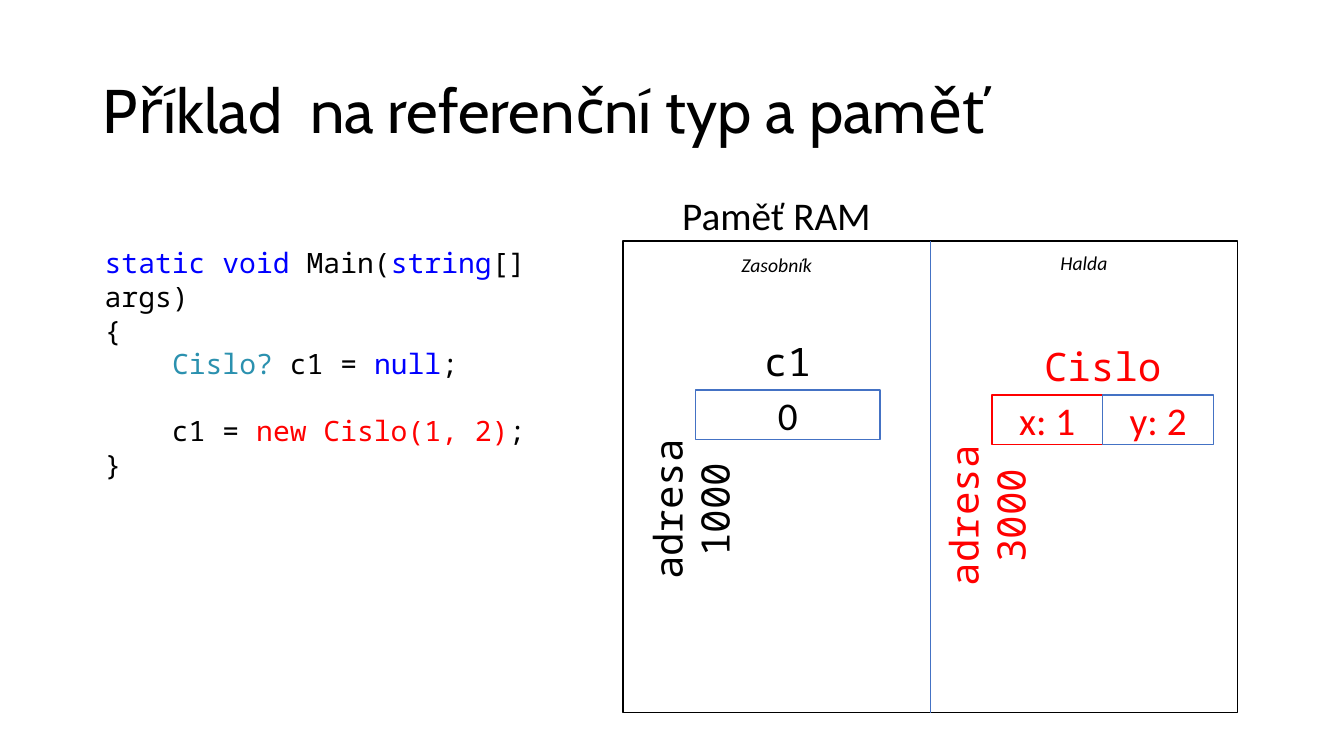
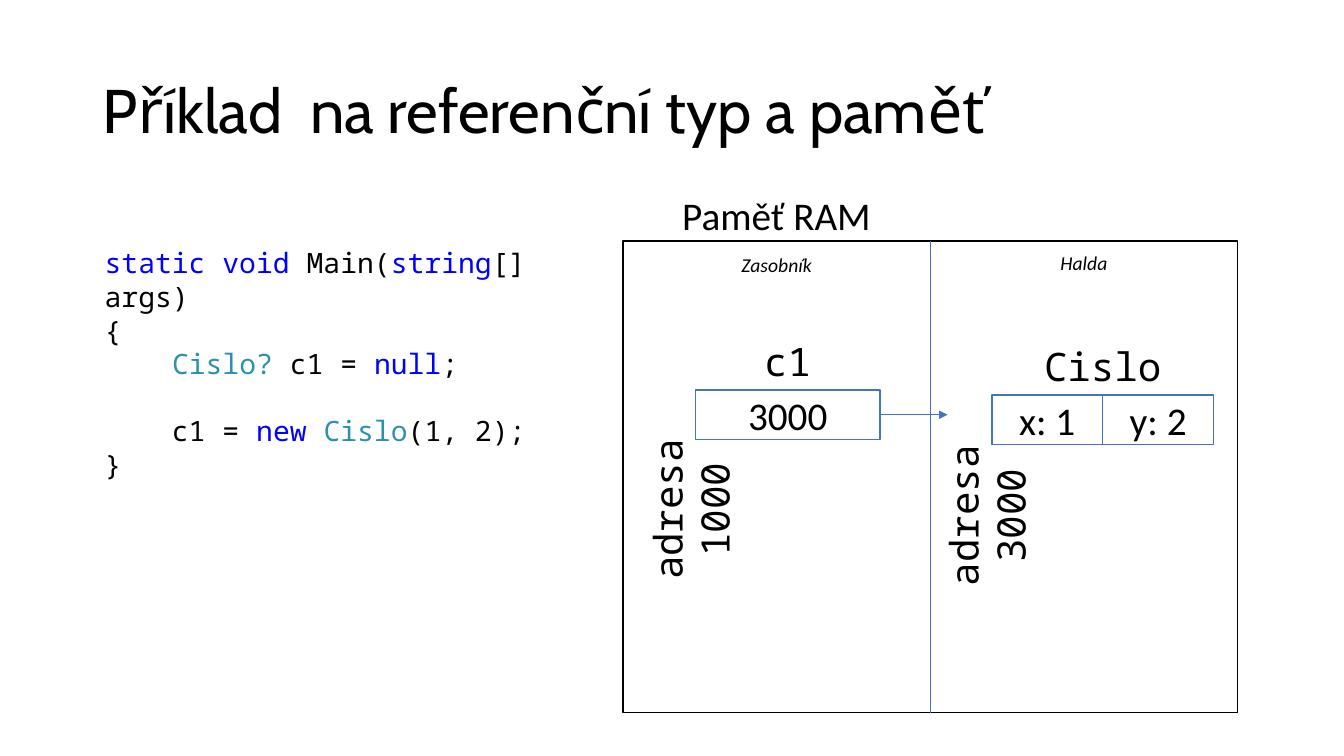
from dataclasses import dataclass
from typing import NamedTuple

from lxml import etree
from pptx import Presentation
from pptx.dml.color import RGBColor
from pptx.enum.shapes import MSO_CONNECTOR, MSO_SHAPE
from pptx.enum.text import MSO_ANCHOR, MSO_AUTO_SIZE, PP_ALIGN
from pptx.oxml.ns import qn
from pptx.util import Pt

RECTANGLE = MSO_SHAPE.RECTANGLE
STRAIGHT = MSO_CONNECTOR.STRAIGHT
LEFT, CENTER = PP_ALIGN.LEFT, PP_ALIGN.CENTER
TOP, MIDDLE = MSO_ANCHOR.TOP, MSO_ANCHOR.MIDDLE
GROW = MSO_AUTO_SIZE.SHAPE_TO_FIT_TEXT

BLACK, WHITE, RED = "000000", "FFFFFF", "FF0000"
KEYWORD, TYPE, ACCENT = "0000FF", "2B91AF", "4472C4"
TITLE_FONT, BODY_FONT, CODE_FONT = "Cabin", "Calibri", "Noto Sans Mono"
TITLE = "Příklad  na referenční typ a paměť"
CODE_LINE = 24
CELL_HEIGHT = 35.3
LABEL_HEIGHT = 41


class Area(NamedTuple):
    left: float
    top: float
    width: float
    height: float


class Span(NamedTuple):
    text: str
    color: str = BLACK


class Line(NamedTuple):
    spans: list[Span]
    space_before: float = 0


@dataclass
class Step:
    creation: list[Span]
    stored: str
    color: str
    first_border: str
    linked: bool


TITLE_AREA = Area(66.2, 28.8, 828, 104.4)
CODE_AREA = Area(67.7, 172, 375.8, 152.6)
MEMORY = Area(445, 172, 439, 337)
VARIABLE = Area(496.8, 278.6, 131.8, CELL_HEIGHT)
OBJECT = Area(708.5, 282.2, 158.4, CELL_HEIGHT)

STEPS = [
    Step([Span("new Cislo(1, 2)", RED), Span(";")], "0", RED, RED, False),
    Step([Span("new ", KEYWORD), Span("Cislo", TYPE), Span("(1, 2);")],
         "3000", BLACK, ACCENT, True),
]


def rgb(color: str) -> RGBColor:
    return RGBColor.from_string(color)


def write(frame, text: str | list[Line], *, size: float = 28,
          font: str = BODY_FONT, color: str = BLACK, italic: bool = False,
          align=CENTER, anchor=TOP, line_spacing: float = 1.0) -> None:
    lines = [Line([Span(text, color)])] if isinstance(text, str) else text
    frame.word_wrap = True
    frame.vertical_anchor = anchor
    for index, line in enumerate(lines):
        para = frame.paragraphs[0] if index == 0 else frame.add_paragraph()
        para.alignment = align
        para.line_spacing = line_spacing
        para.space_before = Pt(line.space_before)
        for span in line.spans:
            run = para.add_run()
            run.text = span.text
            run.font.size = Pt(size)
            run.font.name = font
            run.font.italic = italic
            run.font.color.rgb = rgb(span.color)


def add_text(slide, area: Area, text: str | list[Line], *,
             rotation: float = 0, **style) -> None:
    box = slide.shapes.add_textbox(*map(Pt, area))
    box.rotation = rotation
    write(box.text_frame, text, **style)
    box.text_frame.auto_size = GROW


def add_box(slide, area: Area, border: str, text: str = "",
            color: str = BLACK) -> None:
    box = slide.shapes.add_shape(RECTANGLE, *map(Pt, area))
    box.shadow.inherit = False
    box.fill.solid()
    box.fill.fore_color.rgb = rgb(WHITE)
    box.line.color.rgb = rgb(border)
    box.line.width = Pt(1)
    if text:
        write(box.text_frame, text, color=color, anchor=MIDDLE)


def add_line(slide, start: tuple[float, float], end: tuple[float, float],
             arrow: bool = False) -> None:
    line = slide.shapes.add_connector(STRAIGHT, *map(Pt, start + end))
    line.line.color.rgb = rgb(ACCENT)
    line.line.width = Pt(0.5)
    if arrow:
        etree.SubElement(line.line._get_or_add_ln(), qn("a:tailEnd"),
                         type="triangle")
    etree.SubElement(line._element.spPr, qn("a:effectLst"))


def add_title(slide) -> None:
    title = slide.shapes.title
    title.left, title.top, title.width, title.height = map(Pt, TITLE_AREA)
    write(title.text_frame, TITLE, size=44, font=TITLE_FONT, align=LEFT,
          anchor=MIDDLE, line_spacing=0.9)


def add_code(slide, creation: list[Span]) -> None:
    lines = [
        Line([Span("static void", KEYWORD), Span(" Main("),
              Span("string", KEYWORD), Span("[] args)")]),
        Line([Span("{")]),
        Line([Span("    "), Span("Cislo?", TYPE), Span(" c1 = "),
              Span("null", KEYWORD), Span(";")]),
        Line([Span("    c1 = "), *creation], CODE_LINE),
        Line([Span("}")]),
    ]
    add_text(slide, CODE_AREA, lines, size=20, font=CODE_FONT, align=LEFT)


def add_cell_labels(slide, cell: Area, name: str, address: str,
                    address_area: Area, color: str) -> None:
    name_area = Area(cell.left, cell.top - LABEL_HEIGHT - 0.5,
                     cell.width, LABEL_HEIGHT)
    add_text(slide, name_area, name, font=CODE_FONT, color=color)
    add_text(slide, address_area, f"adresa {address}", rotation=270,
             font=CODE_FONT, color=color)


def add_memory(slide, step: Step) -> None:
    middle = MEMORY.left + MEMORY.width / 2
    half = MEMORY.width / 2
    add_box(slide, MEMORY, BLACK)
    add_line(slide, (middle, MEMORY.top + MEMORY.height), (middle, MEMORY.top))
    add_text(slide, Area(480.2, 133.2, 414, LABEL_HEIGHT), "Paměť RAM",
             align=LEFT)
    for name, left, top in (("Zasobník", MEMORY.left, 177.1),
                            ("Halda", middle, 175.7)):
        add_text(slide, Area(left, top, half, 24.5), name, size=14,
                 italic=True)

    add_box(slide, VARIABLE, ACCENT, step.stored)
    add_cell_labels(slide, VARIABLE, "c1", "1000",
                    Area(383, 343.4, 187.2, LABEL_HEIGHT), BLACK)

    field_width = OBJECT.width / 2
    fields = (("x: 1", step.first_border), ("y: 2", ACCENT))
    for index, (text, border) in enumerate(fields):
        field = OBJECT._replace(left=OBJECT.left + index * field_width,
                                width=field_width)
        add_box(slide, field, border, text, step.color)
    add_cell_labels(slide, OBJECT, "Cislo", "3000",
                    Area(589.7, 347.8, 196.6, LABEL_HEIGHT), step.color)

    if step.linked:
        right = VARIABLE.left + VARIABLE.width
        center = VARIABLE.top + VARIABLE.height / 2
        add_line(slide, (right, center), (676.8, center), arrow=True)


def main() -> None:
    deck = Presentation()
    deck.slide_width, deck.slide_height = Pt(960), Pt(540)
    title_only = deck.slide_layouts[5]
    for step in STEPS:
        page = deck.slides.add_slide(title_only)
        add_title(page)
        add_memory(page, step)
        add_code(page, step.creation)
    deck.save("out.pptx")


if __name__ == "__main__":
    main()
